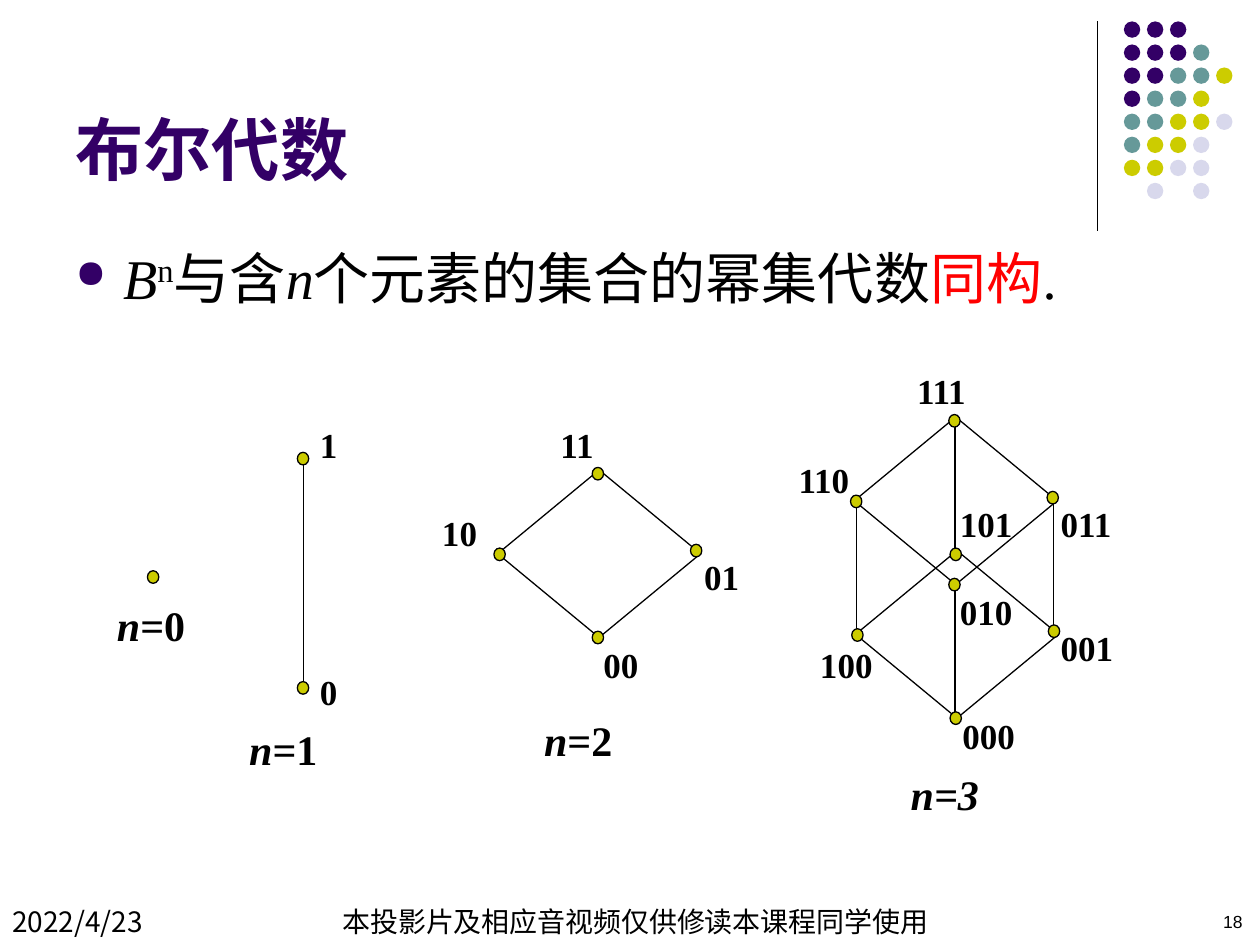
from lxml.etree import SubElement
from pptx import Presentation
from pptx.dml.color import RGBColor
from pptx.enum.shapes import MSO_CONNECTOR, MSO_SHAPE
from pptx.enum.text import MSO_ANCHOR, PP_ALIGN
from pptx.oxml.ns import qn
from pptx.util import Inches, Pt

PURPLE, TEAL, OLIVE, LILAC = "330066", "669999", "CCCC00", "D8D8EC"
BLACK, RED = "000000", "FF0000"
SERIF, SANS, CJK = "Times New Roman", "Arial", "Noto Sans CJK SC"

DOT_COLOURS = {"P": PURPLE, "T": TEAL, "O": OLIVE, "L": LILAC}
DOT_ROWS = ["PPP", "PPPT", "PPTTO", "PTTO", "TTOOL", "TOOL", "OOLL", " L L"]
DOT_LEFT, DOT_TOP, DOT_PITCH, DOT_SIZE = 8.92, 0.17, 0.183, 0.13

STATEMENT = [
    ("B", "italic"), ("n", "super"), ("与含", ""), ("n", "italic"),
    ("个元素的集合的幂集代数", ""), ("同构", "red"), (".", ""),
]
FOOTERS = [
    ("2022/4/23", (0, 7.15, 1.38, 0.33), 16, CJK, PP_ALIGN.LEFT),
    ("本投影片及相应音视频仅供修读本课程同学使用", (1.38, 7.15, 7.33, 0.33), 16, CJK, PP_ALIGN.CENTER),
    ("18", (8.92, 7.15, 1.04, 0.33), 10, SANS, PP_ALIGN.RIGHT),
]

DIAMONDS = [(3.95, 3.73), (6.79, 4.37), (6.78, 3.31)]
DIAMOND_SIZE = (1.61, 1.33)
CORNER_NODES = [(0.75, -0.02), (-0.03, 0.62), (1.53, 0.59), (0.75, 1.28)]
SINGLE_NODES = [(1.17, 4.53), (2.36, 3.59), (2.36, 5.41)]
NODE_SIZE = (0.09, 0.1)
VERTICAL_EDGES = [
    (2.41, 3.64, 5.47), (7.58, 4.64, 5.72), (8.36, 3.96, 5.01),
    (6.8, 3.99, 5), (7.58, 3.34, 4.4),
]
NODE_LABELS = [
    ("0", 2.44, 5.27), ("1", 2.44, 3.31),
    ("11", 4.35, 3.31), ("10", 3.41, 4.01), ("01", 5.49, 4.36), ("00", 4.69, 5.06),
    ("111", 7.18, 2.88), ("110", 6.24, 3.59), ("011", 8.32, 3.94), ("101", 7.52, 3.94),
    ("010", 7.52, 4.64), ("100", 6.41, 5.06), ("000", 7.54, 5.62), ("001", 8.32, 4.92),
]
CAPTIONS = [
    ("=0", False, 0.83, 4.71), ("=1", False, 1.88, 5.69),
    ("=2", False, 4.22, 5.62), ("=3", True, 7.13, 6.05),
]

deck = Presentation()
deck.slide_width, deck.slide_height = Inches(10), Inches(7.5)
slide = deck.slides.add_slide(deck.slide_layouts[6])


def colour(value):
    return RGBColor.from_string(value)


def add_text(runs, box, size, face, ink=BLACK, bold=False,
             align=PP_ALIGN.LEFT, anchor=MSO_ANCHOR.TOP, bullet=None):
    frame = slide.shapes.add_textbox(*map(Inches, box)).text_frame
    frame.word_wrap = True
    frame.vertical_anchor = anchor
    paragraph = frame.paragraphs[0]
    paragraph.alignment = align
    if bullet:
        add_bullet(paragraph, bullet)
    font = paragraph.font
    font.size, font.name, font.bold = Pt(size), face, bold
    font.color.rgb = colour(ink)
    defaults = paragraph._p.pPr.find(qn("a:defRPr"))
    SubElement(defaults, qn("a:ea"), typeface=CJK)
    for words, style in runs:
        run = paragraph.add_run()
        run.text = words
        if style == "italic":
            run.font.italic = True
        elif style == "red":
            run.font.color.rgb = colour(RED)
        elif style == "super":
            run._r.get_or_add_rPr().set("baseline", "30000")


def add_bullet(paragraph, ink):
    properties = paragraph._p.get_or_add_pPr()
    properties.set("marL", str(Inches(0.38)))
    properties.set("indent", str(-Inches(0.38)))
    fill = SubElement(properties, qn("a:buClr"))
    SubElement(fill, qn("a:srgbClr"), val=ink)
    SubElement(properties, qn("a:buSzPct"), val="70000")
    SubElement(properties, qn("a:buChar"), char="●")


def add_outline(preset, left, top, size, fill=None, line=None):
    shape = slide.shapes.add_shape(preset, *map(Inches, (left, top, *size)))
    shape.shadow.inherit = False
    if fill:
        shape.fill.solid()
        shape.fill.fore_color.rgb = colour(fill)
    else:
        shape.fill.background()
    if line:
        shape.line.color.rgb = colour(line)
        shape.line.width = Pt(0.75)
    else:
        shape.line.fill.background()


def add_vertical(x, top, bottom):
    edge = slide.shapes.add_connector(MSO_CONNECTOR.STRAIGHT, *map(Inches, (x, top, x, bottom)))
    edge.line.color.rgb = colour(BLACK)
    edge.line.width = Pt(0.75)
    SubElement(edge._element.spPr, qn("a:effectLst"))


add_vertical(8.71, 0.17, 1.83)
for row, dots in enumerate(DOT_ROWS):
    for column, dot in enumerate(dots):
        if dot in DOT_COLOURS:
            add_outline(MSO_SHAPE.OVAL, DOT_LEFT + column * DOT_PITCH, DOT_TOP + row * DOT_PITCH,
                        (DOT_SIZE, DOT_SIZE), fill=DOT_COLOURS[dot])

add_text([("布尔代数", "")], (0.5, 0.13, 8.25, 1.42), 39, SANS, PURPLE, True, anchor=MSO_ANCHOR.BOTTOM)
add_text(STATEMENT, (0.5, 1.88, 9, 0.73), 32, SERIF, bullet=PURPLE)
for words, box, size, face, align in FOOTERS:
    add_text([(words, "")], box, size, face, align=align, anchor=MSO_ANCHOR.MIDDLE)

for edge in VERTICAL_EDGES:
    add_vertical(*edge)
for left, top in DIAMONDS:
    add_outline(MSO_SHAPE.DIAMOND, left, top, DIAMOND_SIZE, line=BLACK)
corners = [(left + dx, top + dy) for left, top in DIAMONDS for dx, dy in CORNER_NODES]
for left, top in SINGLE_NODES + corners:
    add_outline(MSO_SHAPE.OVAL, left, top, NODE_SIZE, fill=OLIVE, line=BLACK)

for label, left, top in NODE_LABELS:
    add_text([(label, "")], (left, top, 0.7, 0.43), 20, SERIF, bold=True)
for value, slanted, left, top in CAPTIONS:
    runs = [("n" + value, "italic")] if slanted else [("n", "italic"), (value, "")]
    add_text(runs, (left, top, 1, 0.5), 24, SERIF, bold=True)

deck.save("out.pptx")
